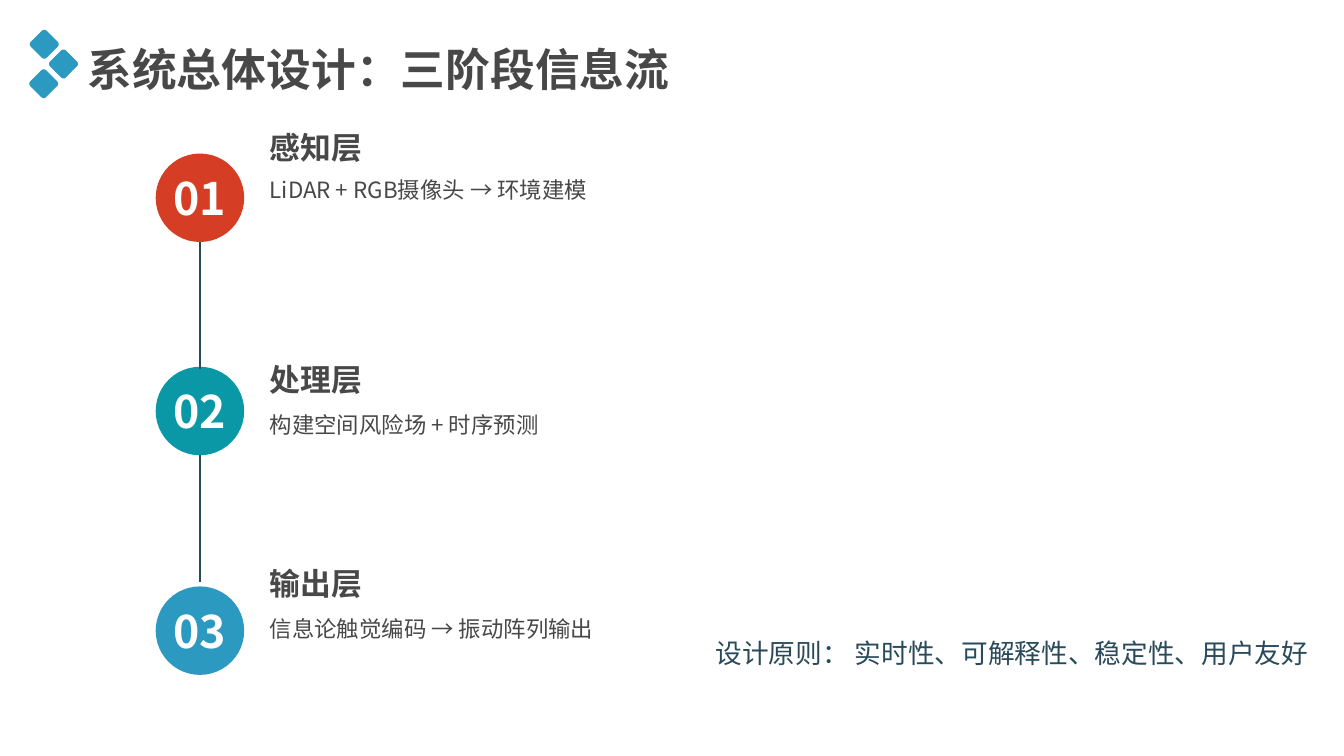
from pptx import Presentation
from pptx.dml.color import RGBColor
from pptx.enum import shapes, text
from pptx.oxml.ns import qn
from pptx.util import Inches, Pt
from lxml import etree

# Content
TITLE = "系统总体设计：三阶段信息流"
PRINCIPLES = "设计原则： 实时性、可解释性、稳定性、用户友好"
# number, heading, description, colour, then tops of circle, heading, description
STAGES = [
    ("01", "感知层", "LiDAR + RGB摄像头 → 环境建模", "red", 1.44, 1.16, 1.6),
    ("02", "处理层", "构建空间风险场 + 时序预测", "teal", 3.44, 3.33, 3.81),
    ("03", "输出层", "信息论触觉编码 → 振动阵列输出", "blue", 5.5, 5.24, 5.72),
]
COLORS = {"red": "D53E25", "teal": "0A97A6", "blue": "2C99C0",
          "gray": "484849", "navy": "294A5A", "white": "FFFFFF"}
FONT = "Noto Sans CJK SC"

# Layout
DIAMOND_CENTERS = [(0.415, 0.415), (0.595, 0.6), (0.41, 0.785)]
DIAMOND_SIDE = 0.21
CIRCLE_LEFT, CIRCLE_SIZE = 1.46, 0.83
TEXT_LEFT = 2.43
LINE_LENGTH = 1.19


def rgb(name):
    return RGBColor.from_string(COLORS[name])


def write(shape, content, size, color="gray", bold=False, font=FONT,
          align=text.PP_ALIGN.LEFT, anchor=text.MSO_ANCHOR.MIDDLE, wrap=True):
    frame = shape.text_frame
    frame.auto_size = text.MSO_AUTO_SIZE.NONE
    frame.word_wrap = wrap
    frame.vertical_anchor = anchor
    paragraph = frame.paragraphs[0]
    paragraph.alignment = align
    run = paragraph.add_run()
    run.text = content
    run.font.size = Pt(size)
    run.font.bold = bold
    run.font.color.rgb = rgb(color)
    run.font.name = font
    east_asian = etree.SubElement(run.font._element, qn("a:ea"))
    east_asian.set("typeface", FONT)


def add_text(slide, left, top, width, height, content, size, **style):
    box = slide.shapes.add_textbox(*map(Inches, (left, top, width, height)))
    write(box, content, size, **style)


def add_filled(slide, kind, left, top, size, color):
    shape = slide.shapes.add_shape(kind, *map(Inches, (left, top, size, size)))
    shape.shadow.inherit = False
    shape.fill.solid()
    shape.fill.fore_color.rgb = rgb(color)
    shape.line.fill.background()
    return shape


def add_line(slide, x, top, bottom):
    line = slide.shapes.add_connector(
        shapes.MSO_CONNECTOR.STRAIGHT, *map(Inches, (x, top, x, bottom)))
    line.line.color.rgb = rgb("navy")
    line.line.width = Pt(1.5)
    etree.SubElement(line._element.spPr, qn("a:effectLst"))


def main():
    presentation = Presentation()
    presentation.slide_width = Inches(12.6)
    presentation.slide_height = Inches(7.09)
    slide = presentation.slides.add_slide(presentation.slide_layouts[5])

    # Title and its diamonds
    title = slide.shapes.title
    title.left, title.top, title.width, title.height = map(
        Inches, (0.72, 0.34, 6.17, 0.61))
    write(title, TITLE, 30.2, bold=True)
    for x, y in DIAMOND_CENTERS:
        diamond = add_filled(slide, shapes.MSO_SHAPE.ROUNDED_RECTANGLE,
                             x - DIAMOND_SIDE / 2, y - DIAMOND_SIDE / 2,
                             DIAMOND_SIDE, "blue")
        diamond.adjustments[0] = 0.14
        diamond.rotation = 45

    # Stages, with a line below each one but the last
    for number, heading, description, color, top, heading_top, body_top in STAGES:
        circle = add_filled(slide, shapes.MSO_SHAPE.OVAL,
                            CIRCLE_LEFT, top, CIRCLE_SIZE, color)
        write(circle, number, 30.2, color="white", bold=True,
              align=text.PP_ALIGN.CENTER, wrap=False)
        add_text(slide, TEXT_LEFT, heading_top, 2.49, 0.45, heading, 20.8,
                 bold=True, align=text.PP_ALIGN.JUSTIFY)
        add_text(slide, TEXT_LEFT, body_top, 8.98, 0.35, description, 15.1,
                 align=text.PP_ALIGN.JUSTIFY)
    for stage in STAGES[:-1]:
        bottom = stage[4] + CIRCLE_SIZE
        add_line(slide, CIRCLE_LEFT + CIRCLE_SIZE / 2, bottom, bottom + LINE_LENGTH)

    # Design principles
    add_text(slide, 6.61, 5.92, 5.96, 0.62, PRINCIPLES, 18, color="navy",
             font="Arial", anchor=text.MSO_ANCHOR.TOP)

    presentation.save("out.pptx")


if __name__ == "__main__":
    main()
